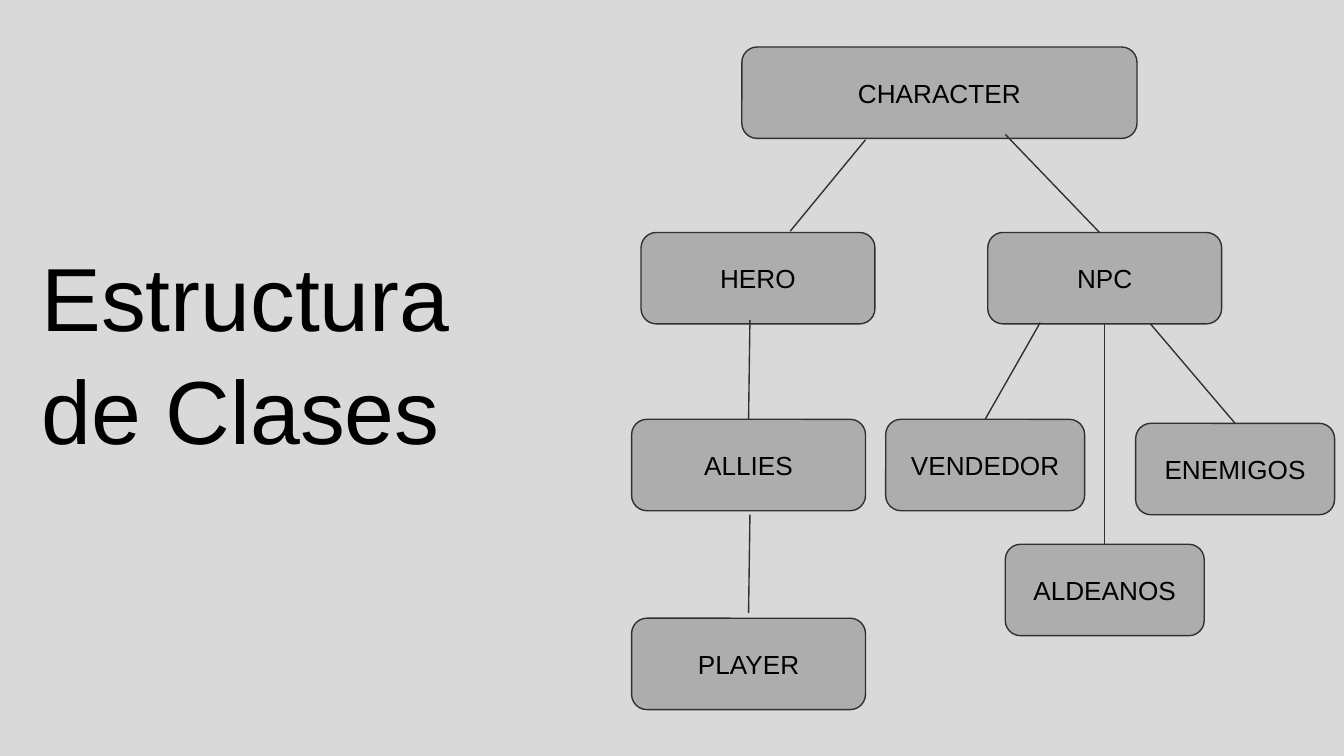
from lxml.etree import SubElement
from pptx import Presentation
from pptx.dml.color import RGBColor
from pptx.enum.shapes import MSO_CONNECTOR, MSO_SHAPE
from pptx.enum.text import MSO_ANCHOR, PP_ALIGN
from pptx.oxml.ns import qn
from pptx.util import Inches, Pt

CELL = 0.1
BOX_HEIGHT = 6.8
WIDE, MIDDLE, NARROW = 29.4, 17.4, 14.8

TIERS = [
    (
        [("CHARACTER", 55.2, 3.5, WIDE)],
        [(74.8, 10, 82.1, 17.6), (64.4, 10.4, 58.8, 17.2)],
    ),
    (
        [("HERO", 47.7, 17.3, MIDDLE), ("NPC", 73.5, 17.3, MIDDLE)],
        [
            (55.8, 23.8, 55.7, 31.2),
            (77.4, 24, 73.3, 31.2),
            (85.6, 24.1, 91.9, 31.5),
            (82.2, 24.1, 82.2, 40.5),
        ],
    ),
    (
        [
            ("ALLIES", 47, 31.2, MIDDLE),
            ("VENDEDOR", 65.9, 31.2, NARROW),
            ("ENEMIGOS", 84.5, 31.5, NARROW),
        ],
        [(55.8, 38.3, 55.7, 45.6)],
    ),
    ([("PLAYER", 47, 46, MIDDLE), ("ALDEANOS", 74.8, 40.5, NARROW)], []),
]


def grid(*cells):
    """Turn counts of grid columns or rows into lengths."""
    return [Inches(count * CELL) for count in cells]


def color(value):
    """Turn a hex string into a colour."""
    return RGBColor.from_string(value)


def style_line(line):
    """Give an outline or connector the thin dark stroke."""
    line.color.rgb = color("303030")
    line.width = Pt(0.75)


def write(shape, text, size, align, anchor):
    """Put one wrapped paragraph of text in a shape."""
    frame = shape.text_frame
    frame.word_wrap = True
    frame.vertical_anchor = anchor
    frame.margin_left = frame.margin_right = Inches(0.1)
    frame.margin_top = frame.margin_bottom = Inches(0.1)
    frame.text = text
    para = frame.paragraphs[0]
    para.alignment = align
    font = para.runs[0].font
    font.name = "Arial"
    font.size = Pt(size)
    font.color.rgb = color("000000")
    return para


def add_title(page, text):
    """Add the large heading on the left."""
    box = page.shapes.add_textbox(*grid(2.1, 16.6, 33, 19.2))
    para = write(box, text, 48, PP_ALIGN.LEFT, MSO_ANCHOR.TOP)
    para.line_spacing = 1.05


def add_class_box(page, name, left, top, width):
    """Add a rounded box holding a class name."""
    box = page.shapes.add_shape(
        MSO_SHAPE.ROUNDED_RECTANGLE, *grid(left, top, width, BOX_HEIGHT)
    )
    box.shadow.inherit = False
    box.fill.solid()
    box.fill.fore_color.rgb = color("ADADAD")
    style_line(box.line)
    write(box, name, 14, PP_ALIGN.CENTER, MSO_ANCHOR.MIDDLE)


def add_link(page, *ends):
    """Add a straight line between two classes."""
    link = page.shapes.add_connector(MSO_CONNECTOR.STRAIGHT, *grid(*ends))
    style_line(link.line)
    SubElement(link.element.spPr, qn("a:effectLst"))


def main():
    """Build the class hierarchy slide and save it."""
    deck = Presentation()
    deck.slide_width, deck.slide_height = grid(100, 56.25)
    page = deck.slides.add_slide(deck.slide_layouts[6])
    page.background.fill.solid()
    page.background.fill.fore_color.rgb = color("D9D9D9")
    add_title(page, "Estructura de Clases")
    for boxes, links in TIERS:
        for box in boxes:
            add_class_box(page, *box)
        for link in links:
            add_link(page, *link)
    deck.save("out.pptx")


if __name__ == "__main__":
    main()
